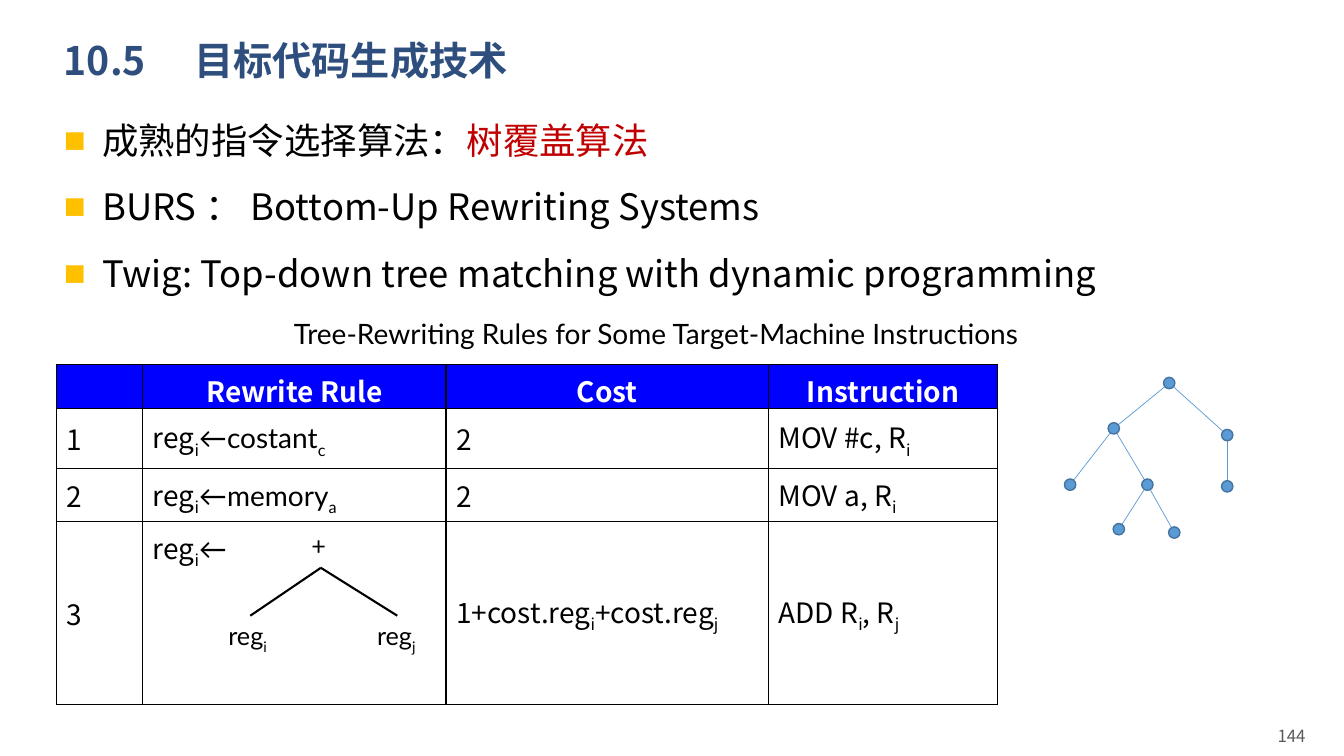
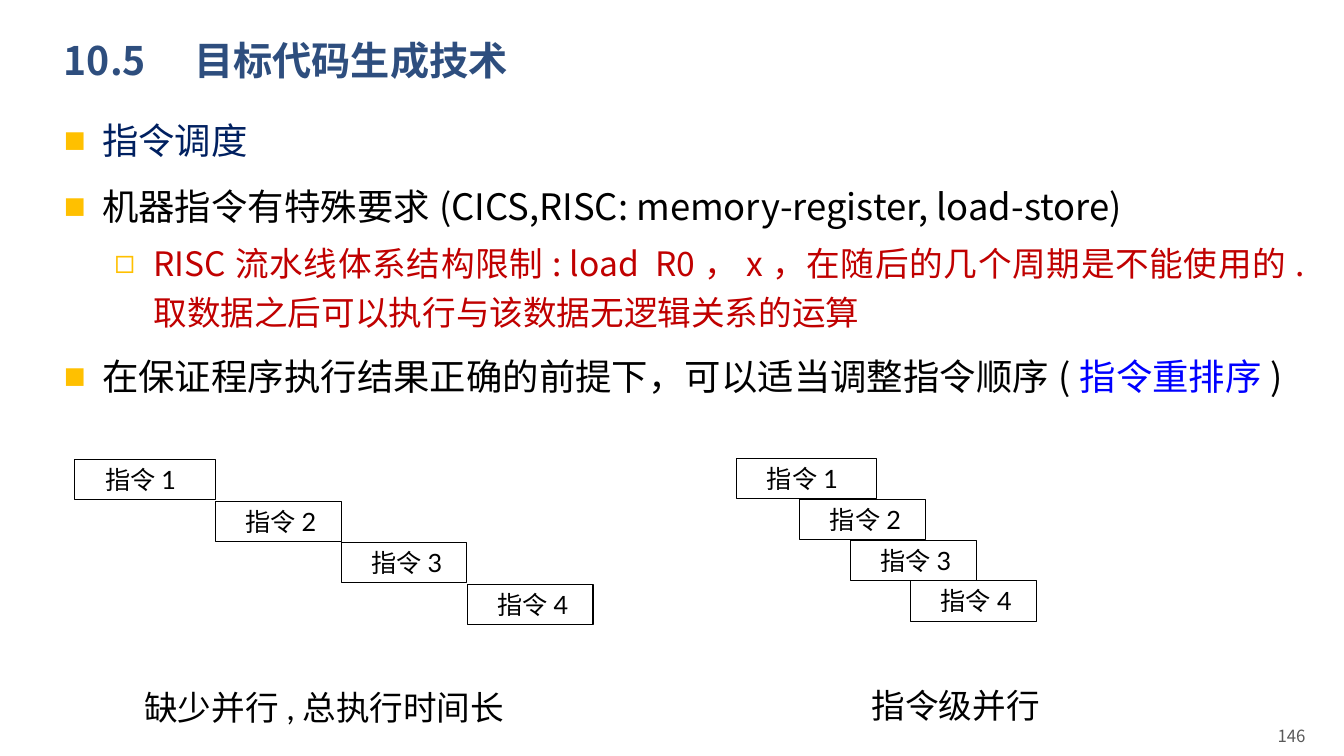
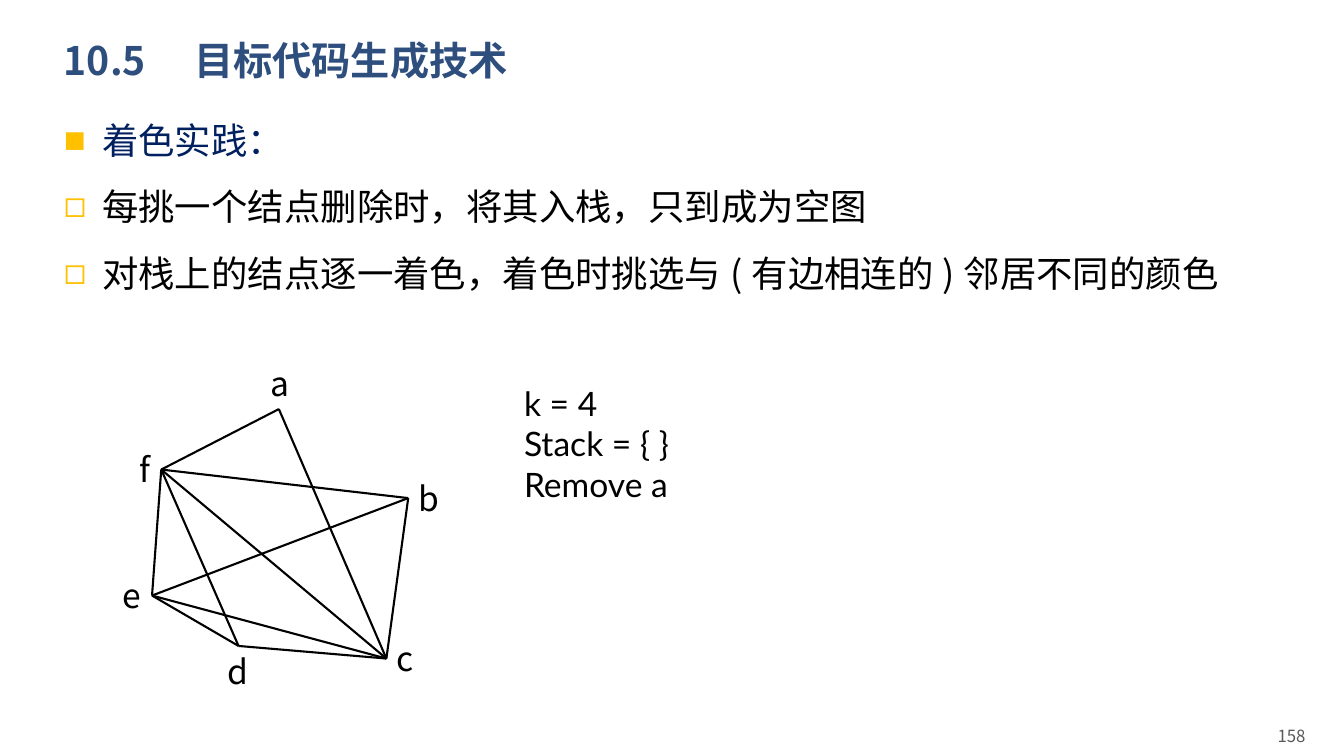
from lxml import etree
from pptx import Presentation
from pptx.dml.color import RGBColor
from pptx.enum.shapes import MSO_CONNECTOR as LINE, MSO_SHAPE as SHAPE
from pptx.enum.text import MSO_ANCHOR as ANCHOR, MSO_AUTO_SIZE as AUTO, PP_ALIGN as ALIGN
from pptx.oxml.ns import qn
from pptx.util import Emu, Inches, Pt

# Shared style
COLS, ROWS = 160, 90
SANS, LATO = "Noto Sans CJK SC", "Lato"
BLACK, WHITE, GREY = "000000", "FFFFFF", "595959"
TITLE, AMBER, RED, NAVY, BLUE = "2E4E7E", "FFC000", "C00000", "002060", "0000FF"
NODE, NODE_EDGE = "5B9BD5", "43739E"
HEADING = "10.5　目标代码生成技术"
FULL, HOLLOW = "■", "◻"


def rgb(value):
    return RGBColor.from_string(value)


def sub(parent, tag, **attrs):
    return etree.SubElement(parent, qn(tag), **attrs)


class Deck:
    """Style and current slide; lengths are columns and rows of a 160 x 90 grid."""

    def __init__(self):
        self.prs = Presentation()
        self.prs.slide_width, self.prs.slide_height = Inches(13.333), Inches(7.5)
        self.slide = None

    def x(self, cols):
        return Emu(round(self.prs.slide_width * cols / COLS))

    def y(self, rows):
        return Emu(round(self.prs.slide_height * rows / ROWS))

    def box(self, x, y, w, h):
        return self.x(x), self.y(y), self.x(w), self.y(h)

    def place(self, sp, *box):
        sp.left, sp.top, sp.width, sp.height = self.box(*box)
        sp.text_frame.auto_size = AUTO.NONE

    def add_runs(self, p, pieces, size, color=BLACK, font=SANS, bold=False):
        """Add runs; a piece is text or (text, overrides), and _x sets x as subscript."""
        for piece in [pieces] if isinstance(pieces, str) else pieces:
            text, own = (piece, {}) if isinstance(piece, str) else piece
            head, *tails = text.split("_")
            parts = [(head, False)]
            for tail in tails:
                parts += [(tail[0], True), (tail[1:], False)]
            for part, lowered in parts:
                if not part:
                    continue
                r = p.add_run()
                r.text = part
                r.font.size, r.font.bold = Pt(size), bold
                r.font.color.rgb = rgb(own.get("color", color))
                r.font.name = own.get("font", font)
                rpr = r._r.get_or_add_rPr()
                sub(rpr, "a:ea", typeface=r.font.name)
                if lowered:
                    rpr.set("baseline", "-25000")

    def new_slide(self, number):
        self.slide = self.prs.slides.add_slide(self.prs.slide_layouts[1])
        sp = self.slide.shapes.title
        self.place(sp, 6.4, 3.4, 138, 8.2)
        sp.text_frame.vertical_anchor = ANCHOR.MIDDLE
        p = sp.text_frame.paragraphs[0]
        p.alignment, p.line_spacing = ALIGN.LEFT, 0.9
        self.add_runs(p, HEADING, 28, TITLE, bold=True)
        self.text(109.9, 85.2, 46.7, 4.8, str(number), 12, GREY,
                  align=ALIGN.RIGHT, anchor=ANCHOR.MIDDLE, wrap=True)

    def bullets(self, w, h, items):
        """Fill the body with (bullet, level, pieces, color) items."""
        sp = self.slide.placeholders[1]
        self.place(sp, 6.4, 12.4, w, h)
        tf = sp.text_frame
        for i, (mark, level, pieces, color) in enumerate(items):
            p = tf.add_paragraph() if i else tf.paragraphs[0]
            p.level, p.alignment, p.line_spacing = level, ALIGN.JUSTIFY, 1.2
            p.space_before = Pt((5 if level else 10) if i else 0)
            left, hang = (0.89, 0.39) if level else (0.38, 0.38)
            ppr = p._p.get_or_add_pPr()
            ppr.set("marL", str(Inches(left)))
            ppr.set("indent", str(-Inches(hang)))
            sub(sub(ppr, "a:buClr"), "a:srgbClr", val=AMBER)
            sub(ppr, "a:buChar", char=mark)
            self.add_runs(p, pieces, 24 if level else 26, color)

    def text(self, x, y, w, h, lines, size, color=BLACK, font=SANS,
             align=ALIGN.LEFT, anchor=ANCHOR.TOP, wrap=False):
        sp = self.slide.shapes.add_textbox(*self.box(x, y, w, h))
        tf = sp.text_frame
        tf.word_wrap, tf.vertical_anchor = wrap, anchor
        for i, line in enumerate([lines] if isinstance(lines, str) else lines):
            p = tf.add_paragraph() if i else tf.paragraphs[0]
            p.alignment = align
            self.add_runs(p, line, size, color, font)

    def shape(self, kind, x, y, w, h, line, width, fill=None):
        sp = self.slide.shapes.add_shape(kind, *self.box(x, y, w, h))
        sp.shadow.inherit = False
        if fill:
            sp.fill.solid()
            sp.fill.fore_color.rgb = rgb(fill)
        else:
            sp.fill.background()
        sp.line.color.rgb, sp.line.width = rgb(line), Pt(width)
        return sp

    def step(self, x, y, w, label):
        sp = self.shape(SHAPE.RECTANGLE, x, y, w, 4.8, BLACK, 0.75)
        tf = sp.text_frame
        tf.word_wrap, tf.vertical_anchor = True, ANCHOR.TOP
        tf.margin_left = Inches(0.3)
        p = tf.paragraphs[0]
        p.alignment = ALIGN.LEFT
        self.add_runs(p, label, 18, font=LATO)

    def edge(self, start, end, color=BLACK, width=1.5):
        (x1, y1), (x2, y2) = start, end
        line = self.slide.shapes.add_connector(
            LINE.STRAIGHT, self.x(x1), self.y(y1), self.x(x2), self.y(y2))
        line.line.color.rgb, line.line.width = rgb(color), Pt(width)
        sub(line._element.spPr, "a:effectLst")

    def table(self, x, y, widths, heights, rows):
        frame = self.slide.shapes.add_table(
            len(rows), len(widths), *self.box(x, y, sum(widths), sum(heights)))
        table = frame.table
        table.first_row = table.horz_banding = False
        for col, w in zip(table.columns, widths):
            col.width = self.x(w)
        for i, (row, h) in enumerate(zip(rows, heights)):
            table.rows[i].height = self.y(h)
            for j, pieces in enumerate(row):
                self.cell(table.cell(i, j), pieces, header=i == 0)
        return table

    def cell(self, cell, pieces, header):
        tcpr = cell._tc.get_or_add_tcPr()
        for side in "LRTB":
            ln = sub(tcpr, "a:ln" + side, w=str(Pt(1)))
            sub(sub(ln, "a:solidFill"), "a:srgbClr", val=BLACK)
        p = cell.text_frame.paragraphs[0]
        if header:
            cell.fill.solid()
            cell.fill.fore_color.rgb = rgb(BLUE)
            p.alignment = ALIGN.CENTER
        else:
            cell.fill.background()
            cell.vertical_anchor = ANCHOR.MIDDLE
        self.add_runs(p, pieces, 20, WHITE if header else BLACK, bold=header)


def tree_covering(deck):
    deck.new_slide(144)
    deck.bullets(138, 26, [
        (FULL, 0, ["成熟的指令选择算法：", ("树覆盖算法", {"color": RED})], BLACK),
        (FULL, 0, "BURS：Bottom-Up Rewriting Systems", BLACK),
        (FULL, 0, "Twig: Top-down tree matching with dynamic programming", BLACK)])
    deck.text(33.8, 37.1, 89.6, 5.3,
              "Tree-Rewriting Rules for Some Target-Machine Instructions", 20, font=LATO)

    # Rewriting rules
    lato = {"font": LATO}
    table = deck.table(6.7, 43.4, [10.3, 36.1, 38.4, 27.3], [5.2, 7.2, 6.3, 21.8], [
        ["", "Rewrite Rule", "Cost", "Instruction"],
        ["1", ["reg_i", ("←costant_c", lato)], "2", "MOV #c, R_i"],
        ["2", ["reg_i", ("←memory_a", lato)], "2", "MOV a, R_i"],
        ["3", ["reg_i", ("←", lato)], "1+cost.reg_i+cost.reg_j", "ADD R_i, R_j"]])
    table.cell(3, 1).vertical_anchor = ANCHOR.TOP

    # Operand tree inside rule 3
    for x, y, w, label in [(35.9, 62.6, 4.6, "+"), (26, 73.3, 7.3, "reg_i"),
                           (43.7, 73.3, 7.3, "reg_j")]:
        deck.text(x, y, w, 4.8, label, 18, font=LATO)
    for x in (29.8, 47.3):
        deck.edge((38.2, 67.6), (x, 73.3))

    # Sample tree: each node with its parent
    nodes = [(139.2, 45.6), (132.6, 51), (146.1, 51.8), (127.4, 57.7),
             (136.6, 57.7), (146.1, 57.9), (133.2, 63), (139.8, 63.4)]
    parents = [0, 0, 1, 1, 2, 4, 4]
    for child, parent in zip(nodes[1:], parents):
        deck.edge(nodes[parent], child, NODE, 0.5)
    d = 1.35
    for x, y in nodes:
        deck.shape(SHAPE.OVAL, x - d / 2, y - d / 2, d, d, NODE_EDGE, 1, NODE)


def scheduling(deck):
    deck.new_slide(146)
    deck.bullets(150.1, 36.5, [
        (FULL, 0, "指令调度", NAVY),
        (FULL, 0, "机器指令有特殊要求(CICS,RISC: memory-register, load-store)", BLACK),
        (HOLLOW, 1, "RISC流水线体系结构限制: load  R0，x，在随后的几个周期是不能使用的. "
                    "取数据之后可以执行与该数据无逻辑关系的运算", RED),
        (FULL, 0, ["在保证程序执行结果正确的前提下，可以适当调整指令顺序(",
                   ("指令重排序", {"color": BLUE}), ")"], BLACK)])

    # Sequential and overlapped instructions
    widths = [16.7, 15, 15, 15]
    for lefts, top, drop in [([8.9, 25.6, 40.6, 55.6], 54.7, 4.95),
                             ([87.7, 95.2, 101.2, 108.4], 54.6, 4.85)]:
        for i, (x, w) in enumerate(zip(lefts, widths)):
            deck.step(x, top + i * drop, w, f"指令{i + 1}")
    deck.text(102.6, 81, 23.4, 6, "指令级并行", 24, font=LATO, wrap=True)
    deck.text(16, 81.2, 49.3, 6, "缺少并行,总执行时间长", 24, font=LATO, wrap=True)


def colouring(deck):
    deck.new_slide(158)
    deck.bullets(150.1, 30, [
        (FULL, 0, "着色实践：", NAVY),
        (HOLLOW, 0, "每挑一个结点删除时，将其入栈，只到成为空图", BLACK),
        (HOLLOW, 0, "对栈上的结点逐一着色，着色时挑选与(有边相连的)邻居不同的颜色", BLACK)])

    # Interference graph: vertex, then label offset and width
    graph = {"a": ((33.2, 48.7), (-2.2, -6.1), 4.7),
             "b": ((48.6, 59.3), (0, -3), 5),
             "c": ((46, 78.4), (0, -3), 4.4),
             "d": ((28.4, 76.9), (-2.5, 0), 5),
             "e": ((18.1, 70.9), (-4.7, -3), 4.7),
             "f": ((19.2, 55.9), (-3.8, -3), 3.8)}
    for name, ((x, y), (dx, dy), w) in graph.items():
        deck.text(x + dx, y + dy, w, 6, name, 24)
    for start, end in "ac af cf cd fd ec ed ef eb cb fb".split():
        deck.edge(graph[start][0], graph[end][0])
    deck.text(61.2, 45, 21.7, 15.7, ["k = 4", "Stack = { }", "Remove a"], 24,
              font=LATO, wrap=True)


def main():
    deck = Deck()
    for build in (tree_covering, scheduling, colouring):
        build(deck)
    deck.prs.save("out.pptx")


if __name__ == "__main__":
    main()
